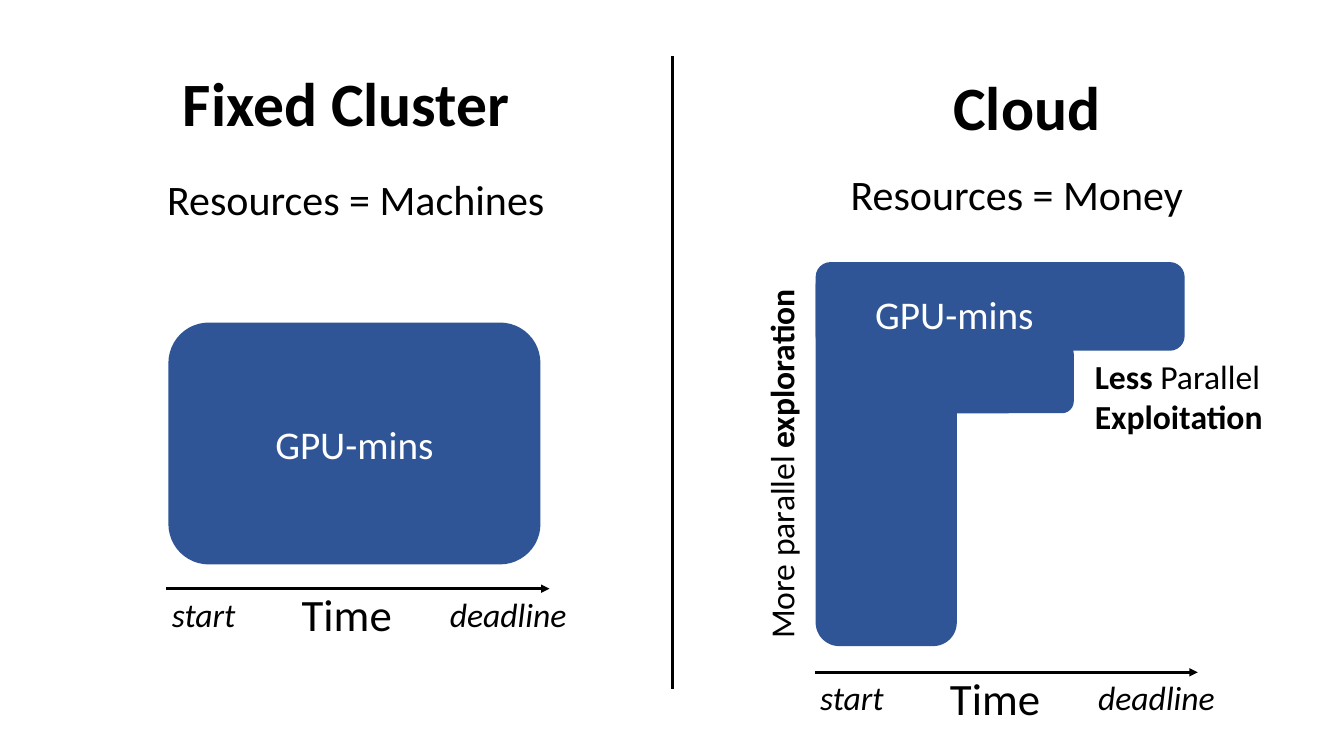
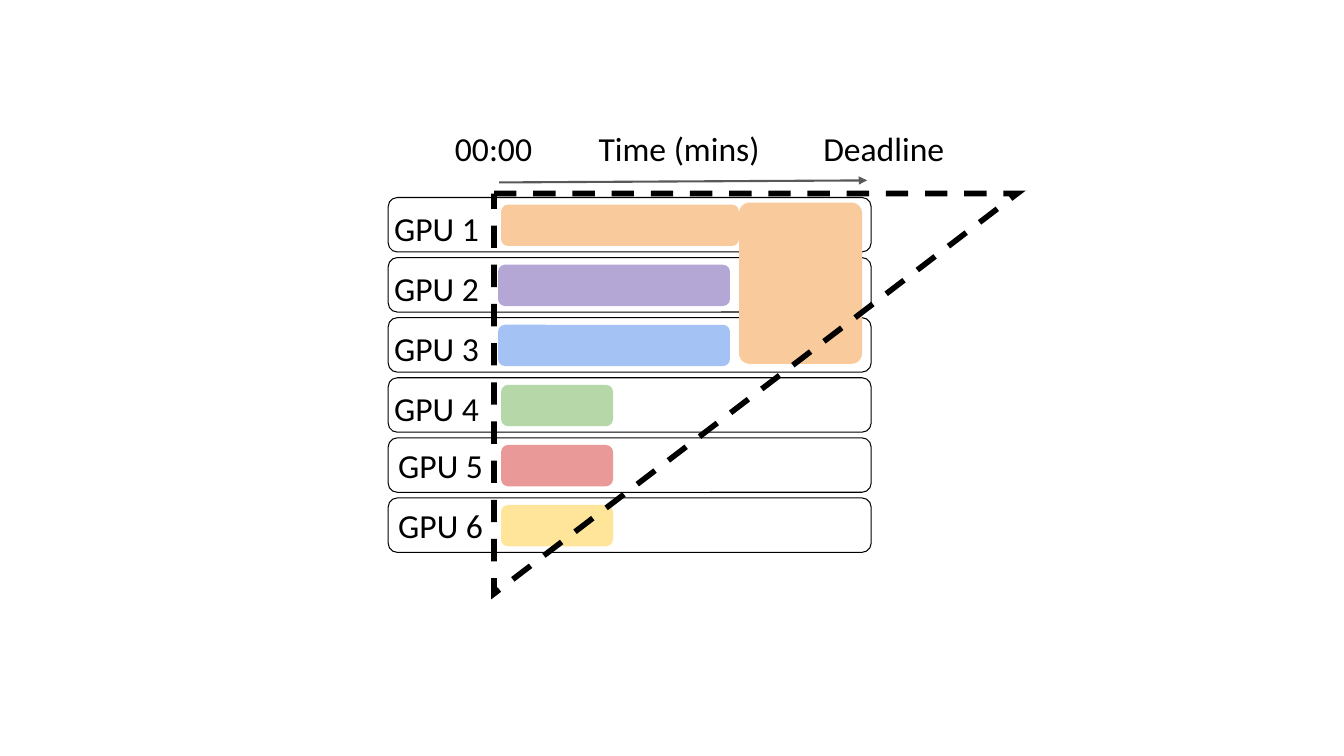
from dataclasses import dataclass

from pptx import Presentation
from pptx.dml.color import RGBColor
from pptx.enum.dml import MSO_LINE
from pptx.enum.shapes import MSO_CONNECTOR, MSO_SHAPE
from pptx.enum.text import MSO_ANCHOR, PP_ALIGN
from pptx.oxml.ns import qn
from pptx.util import Inches, Pt
from lxml.etree import SubElement


@dataclass(frozen=True)
class Theme:
    font: str = "Calibri"
    ink: str = "000000"
    paper: str = "FFFFFF"
    block: str = "2F5597"
    axis: str = "595959"
    orange: str = "F9CB9C"
    purple: str = "B4A7D6"
    blue: str = "A4C2F4"
    green: str = "B6D7A8"
    red: str = "EA9999"
    yellow: str = "FFE599"
    heading: int = 44
    time: int = 32
    resource: int = 30
    block_label: int = 28
    label: int = 24


THEME = Theme()

PANELS = [
    {
        "heading": ("Fixed Cluster", (1.52, 0.68, 3.83, 1)),
        "resource": ("Resources = Machines", (1.52, 1.73, 4.02, 0.61)),
        "blocks": [(1.67, 3.2, 3.69, 2.4)],
        "block_label": (1.67, 4.12, 3.69, 0.57),
        "axis": (1.65, 5.84),
    },
    {
        "heading": ("Cloud", (8.56, 0.72, 3.25, 1)),
        "resource": ("Resources = Money", (7.94, 1.68, 4.29, 0.66)),
        "blocks": [
            (8.09, 2.6, 1.4, 3.81),
            (8.16, 3.39, 2.49, 0.71),
            (8.09, 2.6, 3.66, 0.88),
        ],
        "block_label": (8.57, 2.83, 1.79, 0.57),
        "axis": (8.08, 6.67),
    },
]
AXIS_LENGTH = 3.8
AXIS_LABELS = [
    ("start", -0.33, 0, 0.5, THEME.label, "i"),
    ("Time", 1.09, -0.07, 0.64, THEME.time, ""),
    ("deadline", 2.69, 0, 0.5, THEME.label, "i"),
]
EXPLORATION = [[("More parallel ", ""), ("exploration", "b")]]
EXPLOITATION = [[("Less", "b"), (" Parallel", "")], [("Exploitation", "b")]]

GPUS = [
    ("GPU 1", 3.69, 0, 4.97, 2.36, THEME.orange),
    ("GPU 2", 3.69, 0, 4.94, 2.3, THEME.purple),
    ("GPU 3", 3.69, 0, 4.94, 2.3, THEME.blue),
    ("GPU 4", 3.69, 0, 4.97, 1.11, THEME.green),
    ("GPU 5", 3.73, -0.03, 4.97, 1.11, THEME.red),
    ("GPU 6", 3.73, -0.03, 4.97, 1.11, THEME.yellow),
]
ROW_LEFT, ROW_WIDTH, ROW_HEIGHT = 3.85, 4.79, 0.54
FIRST_ROW, LAST_ROW = 1.96, 4.94
BAR_INSET, BAR_HEIGHT = 0.07, 0.41
SHARED_JOB = (7.33, 2.01, 1.22, 1.6)
TIME_LABELS = [
    ("00:00", (4.29, 1.17, 1.21, 0.54)),
    ("Time (mins)", (5.58, 1.17, 2.31, 0.54)),
    ("Deadline", (7.89, 1.17, 1.75, 0.54)),
]


def color(value):
    return RGBColor.from_string(value)


def add_text(slide, box, paragraphs, size, ink=THEME.ink, align=PP_ALIGN.CENTER,
             inset=0.05, spacing=None, wrap=True):
    shape = slide.shapes.add_textbox(*map(Inches, box))
    frame = shape.text_frame
    frame.word_wrap = wrap
    frame.vertical_anchor = MSO_ANCHOR.TOP
    frame.margin_top = frame.margin_bottom = Inches(inset)
    for index, runs in enumerate(paragraphs):
        paragraph = frame.add_paragraph() if index else frame.paragraphs[0]
        paragraph.alignment = align
        if spacing:
            paragraph.line_spacing = spacing
        for text, style in runs:
            run = paragraph.add_run()
            run.text = text
            run.font.name = THEME.font
            run.font.size = Pt(size)
            run.font.bold = "b" in style
            run.font.italic = "i" in style
            run.font.color.rgb = color(ink)
    return shape


def add_block(slide, box, fill=None, line=None, width=0.75,
              preset=MSO_SHAPE.ROUNDED_RECTANGLE, adjustment=0.167):
    shape = slide.shapes.add_shape(preset, *map(Inches, box))
    shape.shadow.inherit = False
    shape.adjustments[0] = adjustment
    if fill:
        shape.fill.solid()
        shape.fill.fore_color.rgb = color(fill)
    else:
        shape.fill.background()
    if line:
        shape.line.color.rgb = color(line)
        shape.line.width = Pt(width)
    else:
        shape.line.fill.background()
    return shape


def add_line(slide, start, end, width, ink=THEME.ink, arrow=False):
    line = slide.shapes.add_connector(MSO_CONNECTOR.STRAIGHT, *map(Inches, start + end))
    line.line.color.rgb = color(ink)
    line.line.width = Pt(width)
    if arrow:
        SubElement(line.line._get_or_add_ln(), qn("a:tailEnd"), type="triangle")
    SubElement(line._element.spPr, qn("a:effectLst"))


def add_panel(slide, panel):
    heading, heading_box = panel["heading"]
    add_text(slide, heading_box, [[(heading, "b")]], THEME.heading, spacing=0.9)
    resource, resource_box = panel["resource"]
    add_text(slide, resource_box, [[(resource, "")]], THEME.resource, spacing=0.9)
    for box in panel["blocks"]:
        add_block(slide, box, THEME.block)
    add_text(slide, panel["block_label"], [[("GPU-mins", "")]], THEME.block_label, THEME.paper)
    left, top = panel["axis"]
    add_line(slide, (left, top), (left + AXIS_LENGTH, top), 2, arrow=True)
    for text, across, down, height, size, style in AXIS_LABELS:
        add_text(slide, (left + across, top + down, 1.4, height), [[(text, style)]], size)


def build_comparison(slide):
    add_line(slide, (6.67, 0.56), (6.67, 6.84), 2)
    for panel in PANELS:
        add_panel(slide, panel)
    exploration = add_text(slide, (5.87, 4.31, 3.75, 0.5), EXPLORATION, THEME.label,
                           align=PP_ALIGN.LEFT, wrap=False)
    exploration.rotation = 270
    add_text(slide, (10.76, 3.48, 1.89, 0.91), EXPLOITATION, THEME.label,
             align=PP_ALIGN.LEFT, wrap=False)


def build_schedule(slide):
    pitch = (LAST_ROW - FIRST_ROW) / (len(GPUS) - 1)
    tops = [FIRST_ROW + index * pitch for index in range(len(GPUS))]
    for top in tops:
        add_block(slide, (ROW_LEFT, top, ROW_WIDTH, ROW_HEIGHT), line=THEME.ink)
    for top, (name, label_left, shift, left, width, fill) in zip(tops, GPUS):
        add_block(slide, (left, top + BAR_INSET, width, BAR_HEIGHT), fill)
        add_text(slide, (label_left, top + shift, 1.28, ROW_HEIGHT), [[(name, "")]],
                 THEME.label, inset=0.1)
    add_block(slide, SHARED_JOB, THEME.orange, adjustment=0.086)
    for text, box in TIME_LABELS:
        add_text(slide, box, [[(text, "")]], THEME.label, inset=0.1)
    add_line(slide, (4.95, 1.81), (8.6, 1.79), 1.5, THEME.axis, arrow=True)
    envelope = add_block(slide, (5.51, 1.31, 3.97, 5.19), line=THEME.ink, width=4,
                         preset=MSO_SHAPE.ISOSCELES_TRIANGLE, adjustment=0)
    envelope.rotation = 90
    envelope.line.dash_style = MSO_LINE.DASH
    SubElement(envelope.line._get_or_add_ln(), qn("a:miter"), lim="800000")


def main():
    presentation = Presentation()
    presentation.slide_width = Inches(13.33)
    presentation.slide_height = Inches(7.5)
    blank = presentation.slide_layouts[6]
    for build in (build_comparison, build_schedule):
        build(presentation.slides.add_slide(blank))
    presentation.save("out.pptx")


if __name__ == "__main__":
    main()
